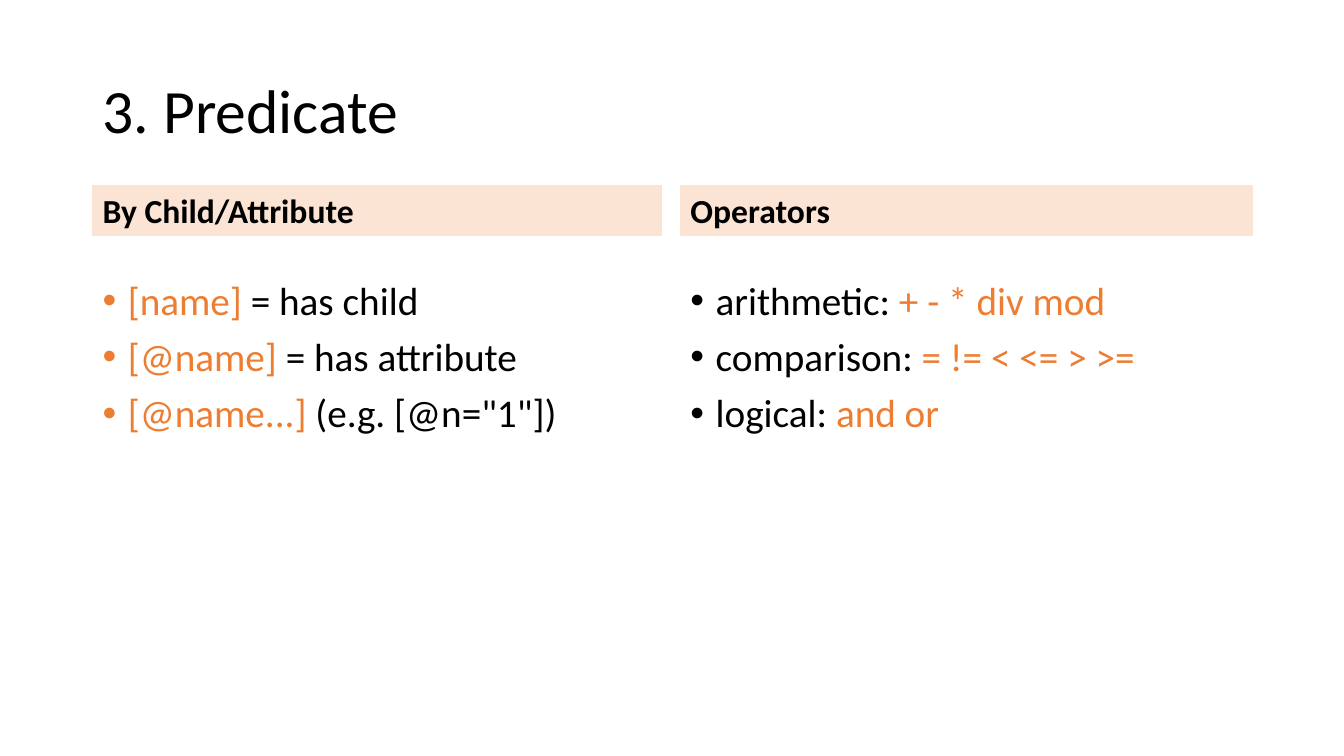
from dataclasses import dataclass

import lxml.etree
import pptx
import pptx.dml.color
import pptx.enum.shapes
import pptx.enum.text
import pptx.oxml.ns
import pptx.slide
import pptx.text.text
import pptx.util

Inches = pptx.util.Inches
Pt = pptx.util.Pt
ANCHOR = pptx.enum.text.MSO_ANCHOR

FONT = "Calibri"
COLORS = {"text": "000000", "accent": "ED7D31", "band": "FBE4D4"}


@dataclass(frozen=True)
class Run:
    text: str
    color: str = "text"


@dataclass(frozen=True)
class Column:
    heading: str
    left: float
    width: float
    bullets: list[tuple[Run, Run]]


COLUMNS = [
    Column("By Child/Attribute", 0.92, 5.64, [
        (Run("[name]", "accent"), Run(" = has child")),
        (Run("[@name]", "accent"), Run(" = has attribute")),
        (Run("[@name...]", "accent"), Run(' (e.g. [@n="1"])')),
    ]),
    Column("Operators", 6.75, 5.67, [
        (Run("arithmetic: "), Run("+ - * div mod", "accent")),
        (Run("comparison: "), Run("= != < <= > >=", "accent")),
        (Run("logical: "), Run("and or", "accent")),
    ]),
]


def rgb(name: str) -> pptx.dml.color.RGBColor:
    return pptx.dml.color.RGBColor.from_string(COLORS[name])


def style_font(font: pptx.text.text.Font, size: float, color: str = "text", bold: bool = False) -> None:
    font.name = FONT
    font.size = Pt(size)
    font.bold = bold
    font.color.rgb = rgb(color)


def set_line(tf: pptx.text.text.TextFrame, text: str, size: float, anchor: ANCHOR, bold: bool = False) -> None:
    tf.word_wrap = True
    tf.vertical_anchor = anchor
    p = tf.paragraphs[0]
    p.text = text
    p.alignment = pptx.enum.text.PP_ALIGN.LEFT
    p.line_spacing = 0.9
    style_font(p.runs[0].font, size, bold=bold)


def add_bullet(p: pptx.text.text._Paragraph, color: str) -> None:
    qn = pptx.oxml.ns.qn
    pPr = p._p.get_or_add_pPr()
    pPr.set("marL", str(Inches(0.25)))
    pPr.set("indent", str(-Inches(0.25)))
    clr = lxml.etree.SubElement(pPr, qn("a:buClr"))
    lxml.etree.SubElement(clr, qn("a:srgbClr"), val=COLORS[color])
    lxml.etree.SubElement(pPr, qn("a:buFont"), typeface="Arial")
    lxml.etree.SubElement(pPr, qn("a:buChar"), char="•")


def draw_title(s: pptx.slide.Slide, text: str) -> None:
    sp = s.shapes.add_textbox(Inches(0.92), Inches(0.4), Inches(11.5), Inches(1.45))
    set_line(sp.text_frame, text, 44, ANCHOR.MIDDLE)


def draw_column(s: pptx.slide.Slide, col: Column) -> None:
    left, width = Inches(col.left), Inches(col.width)
    band = s.shapes.add_shape(
        pptx.enum.shapes.MSO_SHAPE.RECTANGLE, left, Inches(1.84), width, Inches(0.5))
    band.shadow.inherit = False
    band.fill.solid()
    band.fill.fore_color.rgb = rgb("band")
    band.line.color.rgb = rgb("band")
    band.line.width = Pt(0.75)
    set_line(band.text_frame, col.heading, 24, ANCHOR.BOTTOM, bold=True)

    tf = s.shapes.add_textbox(left, Inches(2.74), width, Inches(4.03)).text_frame
    tf.word_wrap = True
    for i, runs in enumerate(col.bullets):
        p = tf.add_paragraph() if i else tf.paragraphs[0]
        p.line_spacing = 0.9
        if i:
            p.space_before = Pt(10)
        add_bullet(p, runs[0].color)
        for run in runs:
            r = p.add_run()
            r.text = run.text
            style_font(r.font, 28, run.color)


def main() -> None:
    prs = pptx.Presentation()
    prs.slide_width, prs.slide_height = Inches(13.33), Inches(7.5)
    s = prs.slides.add_slide(prs.slide_layouts[6])
    draw_title(s, "3. Predicate")
    for col in COLUMNS:
        draw_column(s, col)
    prs.save("out.pptx")


if __name__ == "__main__":
    main()
